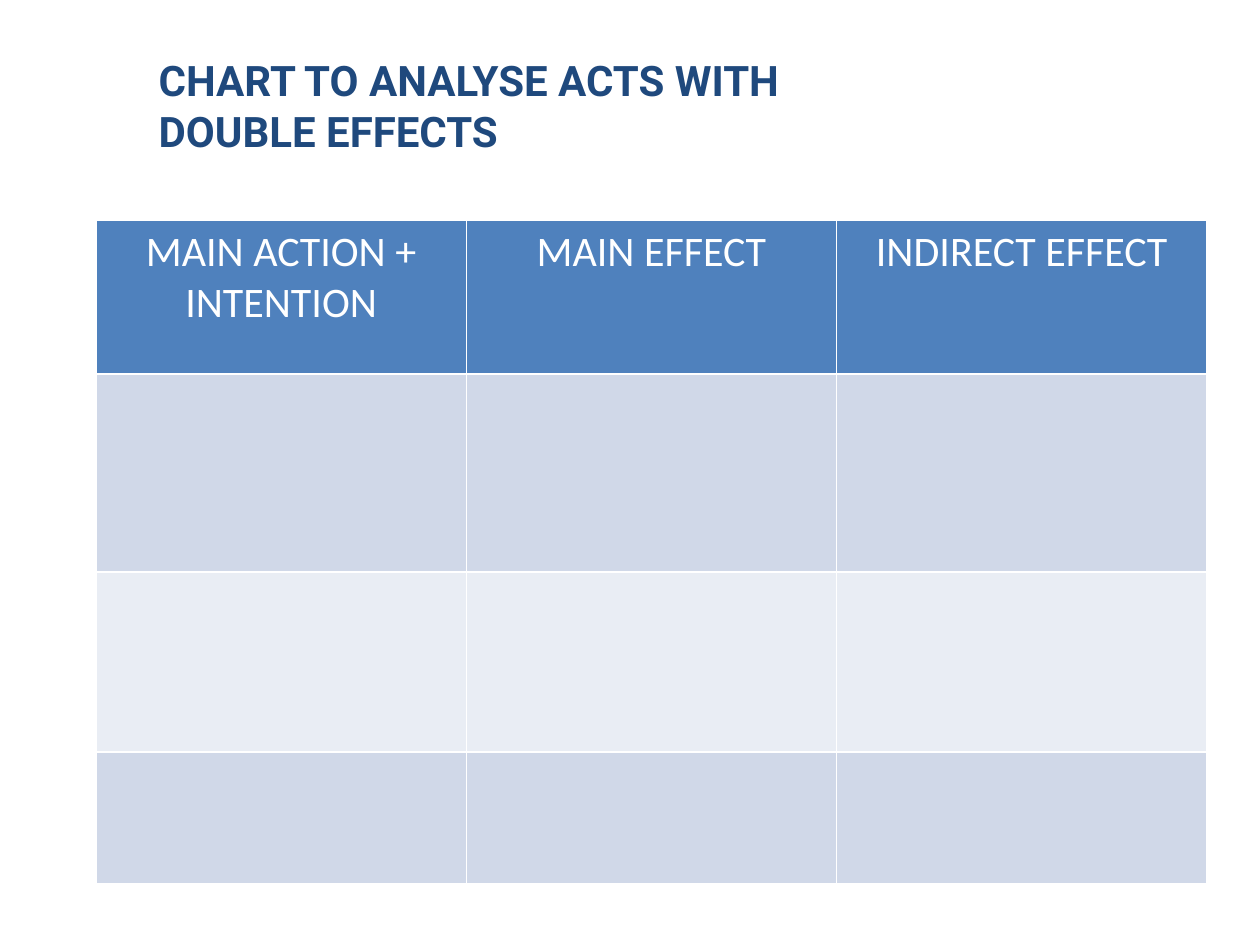
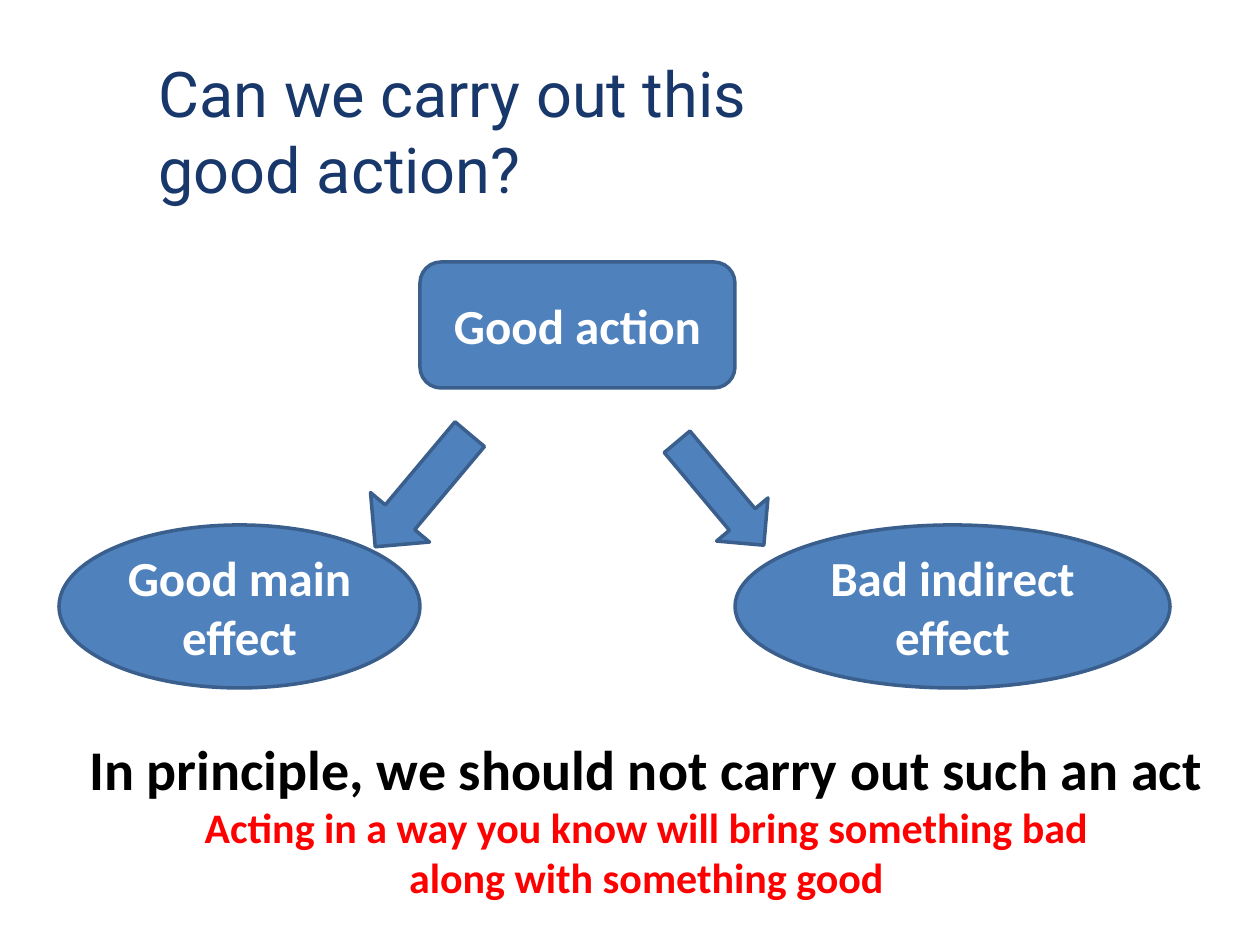
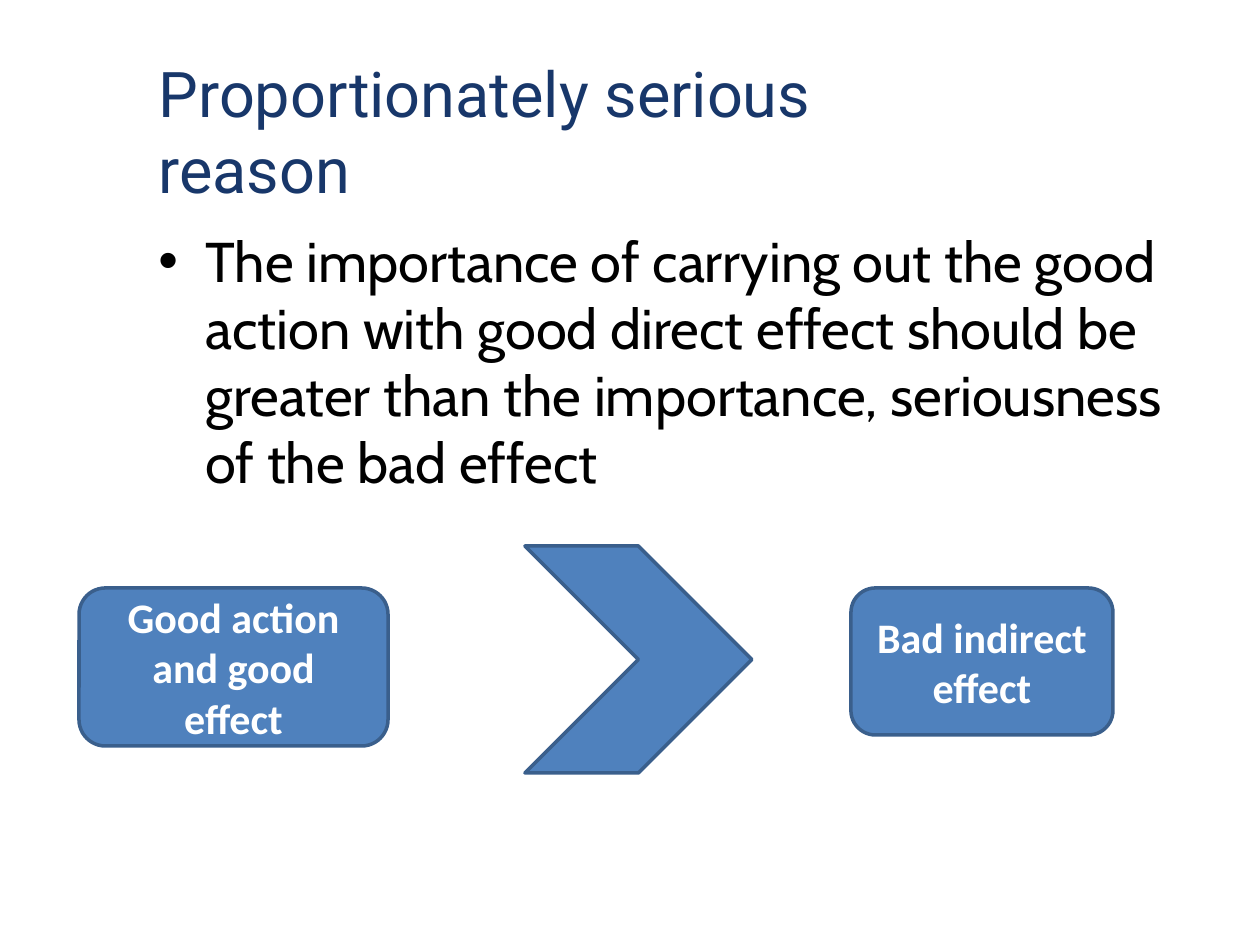
from typing import NamedTuple

from lxml.etree import SubElement
from pptx import Presentation
from pptx.dml.color import RGBColor
from pptx.enum.shapes import MSO_SHAPE as Preset
from pptx.enum.text import MSO_ANCHOR as Anchor, MSO_AUTO_SIZE as AutoSize, PP_ALIGN as Align
from pptx.oxml.ns import qn
from pptx.util import Emu, Pt

PX_PER_INCH = 126
EMU_PER_PX = 914400 / PX_PER_INCH

WHITE, BLACK, RED = "FFFFFF", "000000", "FF0000"
BLUE, BLUE_EDGE = "4F81BD", "3A5F8C"
NAVY, HEADING_BLUE = "18376A", "1F497D"
BAND_DARK, BAND_LIGHT = "D0D8E8", "E9EDF4"


class Box(NamedTuple):
    left: int
    top: int
    width: int
    height: int


class Style(NamedTuple):
    size: int
    color: str
    bold: bool = False
    font: str = "Calibri"


class Node(NamedTuple):
    preset: Preset
    box: Box
    text: str = ""
    size: int = 24
    rotation: int = 0


TITLE_BOX = Box(146, 76, 742, 108)
TITLE_STYLE = Style(36, NAVY, font="Roboto")
CHART_TITLE_STYLE = Style(24, HEADING_BLUE, True, "Roboto")

EFFECT_COLUMNS = ["MAIN ACTION + INTENTION", "MAIN EFFECT", "INDIRECT EFFECT"]
EFFECT_ROW_HEIGHTS = [154, 198, 180, 132]
EFFECT_ROW_FILLS = [BLUE, BAND_DARK, BAND_LIGHT, BAND_DARK]

ACTION_NODES = [
    Node(Preset.ROUNDED_RECTANGLE, Box(420, 262, 315, 126), "Good action", 28),
    Node(Preset.OVAL, Box(59, 525, 361, 163), "Good main effect", 28),
    Node(Preset.OVAL, Box(735, 525, 435, 163), "Bad indirect effect", 28),
    Node(Preset.DOWN_ARROW, Box(384, 417, 77, 147), rotation=40),
    Node(Preset.DOWN_ARROW, Box(687, 426, 67, 135), rotation=320),
]
PRINCIPLE_LINES = [
    ("In principle, we should not carry out such an act", Style(32, BLACK, True)),
    ("Acting in a way you know will bring something bad", Style(24, RED, True)),
    ("along with something good", Style(24, RED, True)),
]

REASON = (
    "The importance of carrying out the good action with good direct effect "
    "should be greater than the importance, seriousness of the bad effect"
)
REASON_NODES = [
    Node(Preset.ROUNDED_RECTANGLE, Box(79, 588, 309, 158), "Good action and good effect"),
    Node(Preset.CHEVRON, Box(525, 546, 227, 227)),
    Node(Preset.ROUNDED_RECTANGLE, Box(851, 588, 262, 147), "Bad indirect effect"),
]


def px(length: int) -> Emu:
    return Emu(round(length * EMU_PER_PX))


def place(box: Box) -> list[Emu]:
    return [px(length) for length in box]


def rgb(color: str) -> RGBColor:
    return RGBColor.from_string(color)


def format_paragraph(paragraph, style: Style, align: Align = Align.LEFT) -> None:
    paragraph.alignment = align
    for run in paragraph.runs:
        run.font.name = style.font
        run.font.size = Pt(style.size)
        run.font.bold = style.bold
        run.font.color.rgb = rgb(style.color)


def add_titled_slide(deck, text: str, style: Style = TITLE_STYLE, lift: int = 0):
    """Add a title-only slide; lift raises the title text inside its box."""
    slide = deck.slides.add_slide(deck.slide_layouts[5])
    title = slide.shapes.title
    title.left, title.top, title.width, title.height = place(TITLE_BOX)
    frame = title.text_frame
    frame.text = text
    frame.word_wrap = True
    frame.auto_size = AutoSize.NONE
    frame.vertical_anchor = Anchor.MIDDLE
    frame.margin_bottom = px(6 + 2 * lift)
    format_paragraph(frame.paragraphs[0], style)
    return slide


def add_node(slide, node: Node) -> None:
    shape = slide.shapes.add_shape(node.preset, *place(node.box))
    shape.rotation = node.rotation
    shape.shadow.inherit = False
    shape.fill.solid()
    shape.fill.fore_color.rgb = rgb(BLUE)
    shape.line.color.rgb = rgb(BLUE_EDGE)
    shape.line.width = Pt(2)
    if node.text:
        frame = shape.text_frame
        frame.text = node.text
        frame.word_wrap = True
        frame.vertical_anchor = Anchor.MIDDLE
        format_paragraph(frame.paragraphs[0], Style(node.size, WHITE, True), Align.CENTER)


def format_cell(cell, fill: str) -> None:
    """Give a cell thin white borders and a solid fill."""
    properties = cell._tc.get_or_add_tcPr()
    for side in ("a:lnL", "a:lnR", "a:lnT", "a:lnB"):
        border = SubElement(properties, qn(side), w=str(Pt(1)))
        SubElement(SubElement(border, qn("a:solidFill")), qn("a:srgbClr"), val=WHITE)
    cell.fill.solid()
    cell.fill.fore_color.rgb = rgb(fill)


def add_effects_table(slide) -> None:
    box = Box(96, 220, 1111, sum(EFFECT_ROW_HEIGHTS))
    table = slide.shapes.add_table(
        len(EFFECT_ROW_HEIGHTS), len(EFFECT_COLUMNS), *place(box)
    ).table
    for row, height, fill in zip(table.rows, EFFECT_ROW_HEIGHTS, EFFECT_ROW_FILLS):
        row.height = px(height)
        for cell in row.cells:
            format_cell(cell, fill)
    for cell, heading in zip(table.rows[0].cells, EFFECT_COLUMNS):
        cell.text = heading
        format_paragraph(cell.text_frame.paragraphs[0], Style(24, WHITE), Align.CENTER)


def add_principle(slide) -> None:
    frame = slide.shapes.add_textbox(*place(Box(77, 728, 1148, 183))).text_frame
    frame.word_wrap = False
    frame.auto_size = AutoSize.SHAPE_TO_FIT_TEXT
    frame.text = "\n".join(text for text, _ in PRINCIPLE_LINES)
    for index, (paragraph, (_, style)) in enumerate(zip(frame.paragraphs, PRINCIPLE_LINES)):
        format_paragraph(paragraph, style, Align.CENTER if index else Align.LEFT)


def add_reason(slide) -> None:
    frame = slide.shapes.add_textbox(*place(Box(146, 220, 1051, 677))).text_frame
    frame.word_wrap = True
    frame.text = REASON
    paragraph = frame.paragraphs[0]
    properties = paragraph._p.get_or_add_pPr()
    properties.set("marL", str(px(47)))
    properties.set("indent", str(px(-47)))
    SubElement(properties, qn("a:buFont"), typeface="Arial")
    SubElement(properties, qn("a:buChar"), char="•")
    format_paragraph(paragraph, Style(32, BLACK, font="Cabin"))


def main() -> None:
    deck = Presentation()
    deck.slide_width, deck.slide_height = px(1260), px(945)

    effects = add_titled_slide(
        deck, "CHART TO ANALYSE ACTS WITH\vDOUBLE EFFECTS", CHART_TITLE_STYLE, lift=25
    )
    add_effects_table(effects)

    action = add_titled_slide(deck, "Can we carry out this good action?")
    for node in ACTION_NODES:
        add_node(action, node)
    add_principle(action)

    reason = add_titled_slide(deck, "Proportionately serious reason")
    add_reason(reason)
    for node in REASON_NODES:
        add_node(reason, node)

    deck.save("out.pptx")


if __name__ == "__main__":
    main()
